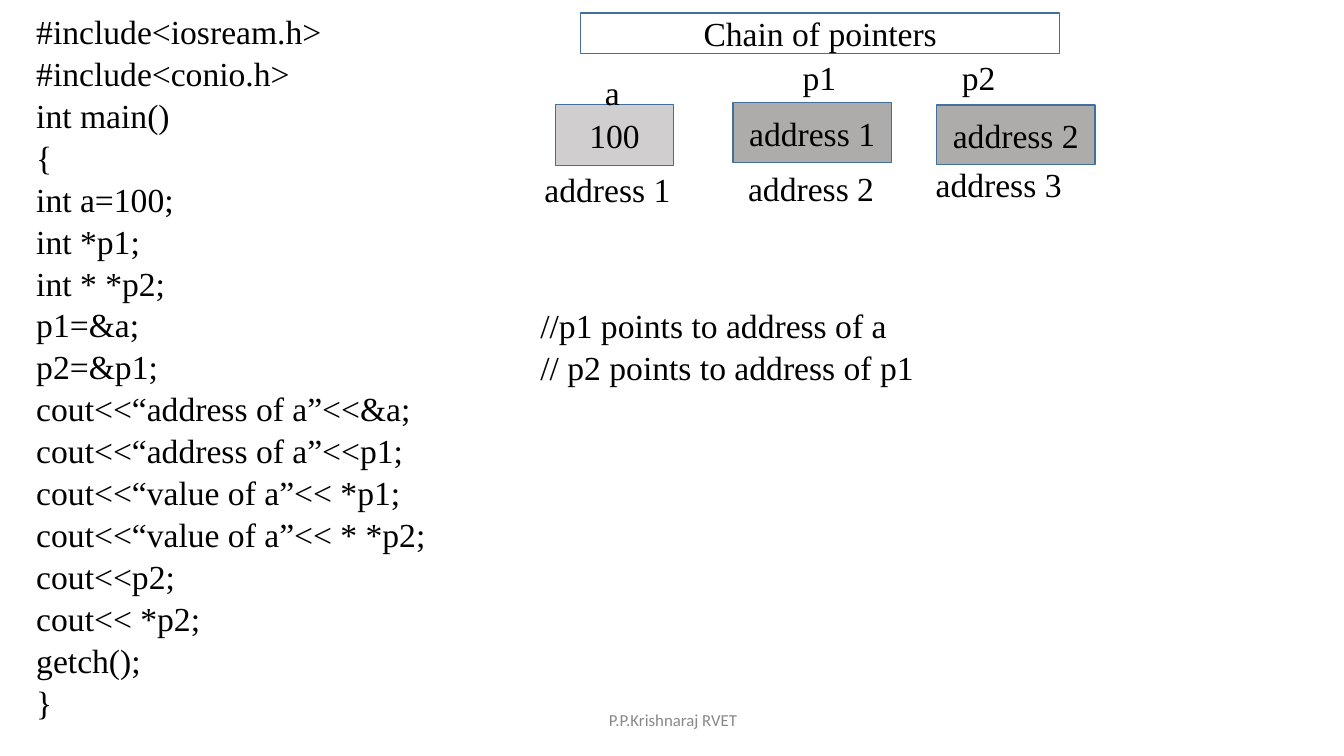
import pptx
import pptx.dml.color
import pptx.enum.shapes
import pptx.enum.text
import pptx.util

Inches = pptx.util.Inches
Pt = pptx.util.Pt

COLORS = {
    "text": "000000",
    "footer": "888888",
    "border": "41709C",
    "value": "D0CECE",
    "pointer": "AEABAB",
}
CODE_PITCH = Pt(29.95)

deck = pptx.Presentation()
deck.slide_width = Inches(13.33)
deck.slide_height = Inches(7.5)
slide = deck.slides.add_slide(deck.slide_layouts[6])


def write(shape, lines, spacing=None, align="LEFT", anchor="TOP",
          font="Times New Roman", size=24, color="text"):
    """Fill a shape with one paragraph per line, without inner margins."""
    frame = shape.text_frame
    frame.word_wrap = True
    frame.margin_left = frame.margin_right = 0
    frame.margin_top = frame.margin_bottom = 0
    frame.vertical_anchor = getattr(pptx.enum.text.MSO_ANCHOR, anchor)
    for index, line in enumerate(lines):
        paragraph = frame.add_paragraph() if index else frame.paragraphs[0]
        paragraph.alignment = getattr(pptx.enum.text.PP_ALIGN, align)
        if spacing:
            paragraph.line_spacing = spacing
        run = paragraph.add_run()
        run.text = line
        run.font.name = font
        run.font.size = Pt(size)
        run.font.color.rgb = pptx.dml.color.RGBColor.from_string(COLORS[color])


def add_text(left, top, width, height, lines, **style):
    box = slide.shapes.add_textbox(
        Inches(left), Inches(top), Inches(width), Inches(height))
    write(box, lines, **style)


add_text(6.04, 7.07, 1.4, 0.19, ["P.P.Krishnaraj RVET"],
         spacing=Pt(12.4), font="Calibri", size=12, color="footer")

program = [
    "#include<iosream.h>",
    "#include<conio.h>",
    "int main()",
    "{",
    "int a=100;",
    "int *p1;",
    "int * *p2;",
    "p1=&a;",
    "p2=&p1;",
    "cout<<“address of a”<<&a;",
    "cout<<“address of a”<<p1;",
    "cout<<“value of a”<< *p1;",
    "cout<<“value of a”<< * *p2;",
    "cout<<p2;",
    "cout<< *p2;",
    "getch();",
    "}",
]
add_text(0.36, 0.09, 4.1, 7.11, program, spacing=CODE_PITCH)

comments = ["//p1 points to address of a", "// p2 points to address of p1"]
add_text(5.36, 3.01, 3.9, 0.84, comments, spacing=CODE_PITCH)

# Title and memory cells: text, left, top, width, height, fill
cells = [
    ("Chain of pointers", 5.76, 0.13, 4.75, 0.4, None),
    ("100", 5.51, 1.04, 1.17, 0.6, "value"),
    ("address 1", 7.27, 1.02, 1.57, 0.59, "pointer"),
    ("address 2", 9.29, 1.04, 1.57, 0.59, "pointer"),
]
for text, left, top, width, height, fill in cells:
    cell = slide.shapes.add_shape(
        pptx.enum.shapes.MSO_SHAPE.RECTANGLE,
        Inches(left), Inches(top), Inches(width), Inches(height))
    cell.shadow.inherit = False
    if fill:
        cell.fill.solid()
        cell.fill.fore_color.rgb = pptx.dml.color.RGBColor.from_string(COLORS[fill])
    else:
        cell.fill.background()
    cell.line.color.rgb = pptx.dml.color.RGBColor.from_string(COLORS["border"])
    cell.line.width = Pt(0.96)
    write(cell, [text], align="CENTER", anchor="MIDDLE")

# Variable names above the cells and addresses below: text, left, top, width
labels = [
    ("a", 6.0, 0.71, 0.25),
    ("p1", 7.96, 0.56, 0.5),
    ("p2", 9.54, 0.56, 0.5),
    ("address 1", 5.4, 1.68, 1.4),
    ("address 2", 7.42, 1.67, 1.4),
    ("address 3", 9.28, 1.63, 1.4),
]
for text, left, top, width in labels:
    add_text(left, top, width, 0.41, [text])

deck.save("out.pptx")
